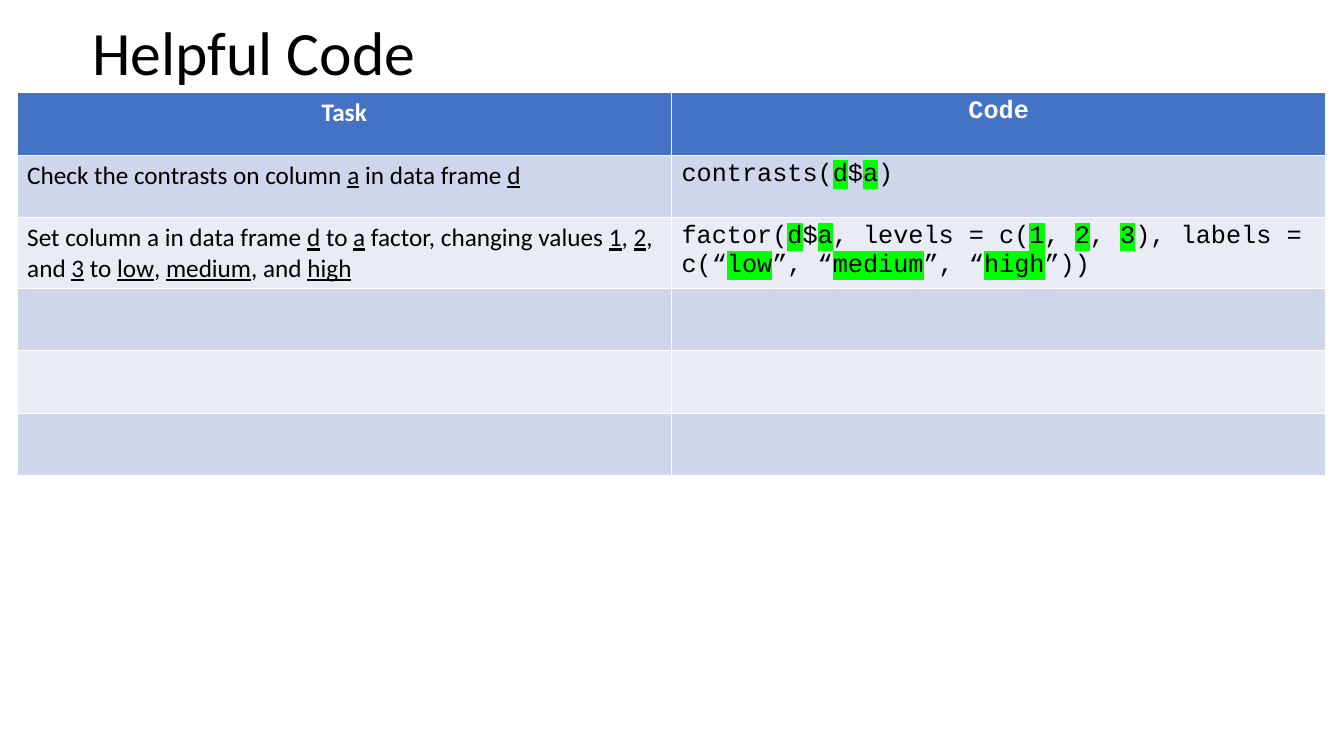
"""Build the Helpful Code slide: a title above a table of tasks and R code."""
from lxml import etree
from pptx import Presentation
from pptx import util as u
from pptx.dml import color
from pptx.enum import text
from pptx.oxml import ns


def paint(fill, shade):
    fill.solid()
    fill.fore_color.rgb = color.RGBColor.from_string(shade)


def style(paragraph, face, size, shade, bold=False):
    paragraph.font.name = face
    paragraph.font.size = u.Pt(size)
    paragraph.font.bold = bold
    paint(paragraph.font.fill, shade)


MARK = "|"
FACES = ["Calibri", "Courier New"]
HEADER, BANDS = "4472C4", ["E9EBF5", "CFD5EA"]
ROWS = [
    ("Task", "Code"),
    ("Check the contrasts on column |a| in data frame |d|", "contrasts(|d|$|a|)"),
    ("Set column a in data frame |d| to |a| factor, changing values "
     "|1|, |2|, and |3| to |low|, |medium|, and |high|",
     "factor(|d|$|a|, levels = c(|1|, |2|, |3|), labels = "
     "c(“|low|”, “|medium|”, “|high|”))"),
    ("", ""),
    ("", ""),
    ("", ""),
]

deck = Presentation()
deck.slide_width, deck.slide_height = u.Inches(13.33), u.Inches(7.5)
page = deck.slides.add_slide(deck.slide_layouts[6])

title = page.shapes.add_textbox(u.Inches(0.82), u.Inches(0), u.Inches(11.5), u.Inches(1.1))
title.text_frame.word_wrap = True
title.text_frame.vertical_anchor = text.MSO_ANCHOR.MIDDLE
para = title.text_frame.paragraphs[0]
para.text = "Helpful Code"
para.line_spacing = 0.9
style(para, "Calibri", 44, "000000")

table = page.shapes.add_table(len(ROWS), len(FACES), u.Inches(0.17), u.Inches(0.92),
                              u.Inches(12.98), u.Inches(0.62 * len(ROWS))).table

for row, entries in enumerate(ROWS):
    is_header = row == 0
    for column, (entry, face) in enumerate(zip(entries, FACES)):
        cell = table.cell(row, column)
        paint(cell.fill, HEADER if is_header else BANDS[row % 2])
        para = cell.text_frame.paragraphs[0]
        if is_header:
            para.alignment = text.PP_ALIGN.CENTER
        style(para, face, 18, "FFFFFF" if is_header else "000000", is_header)
        for index, piece in enumerate(entry.split(MARK)):
            if not piece:
                continue
            span = para.add_run()
            span.text = piece
            if index % 2 and face == "Calibri":
                span.font.underline = True
            elif index % 2:
                properties = span._r.get_or_add_rPr()
                highlight = etree.SubElement(properties, ns.qn("a:highlight"))
                etree.SubElement(highlight, ns.qn("a:srgbClr"), val="00FF00")

deck.save("out.pptx")
